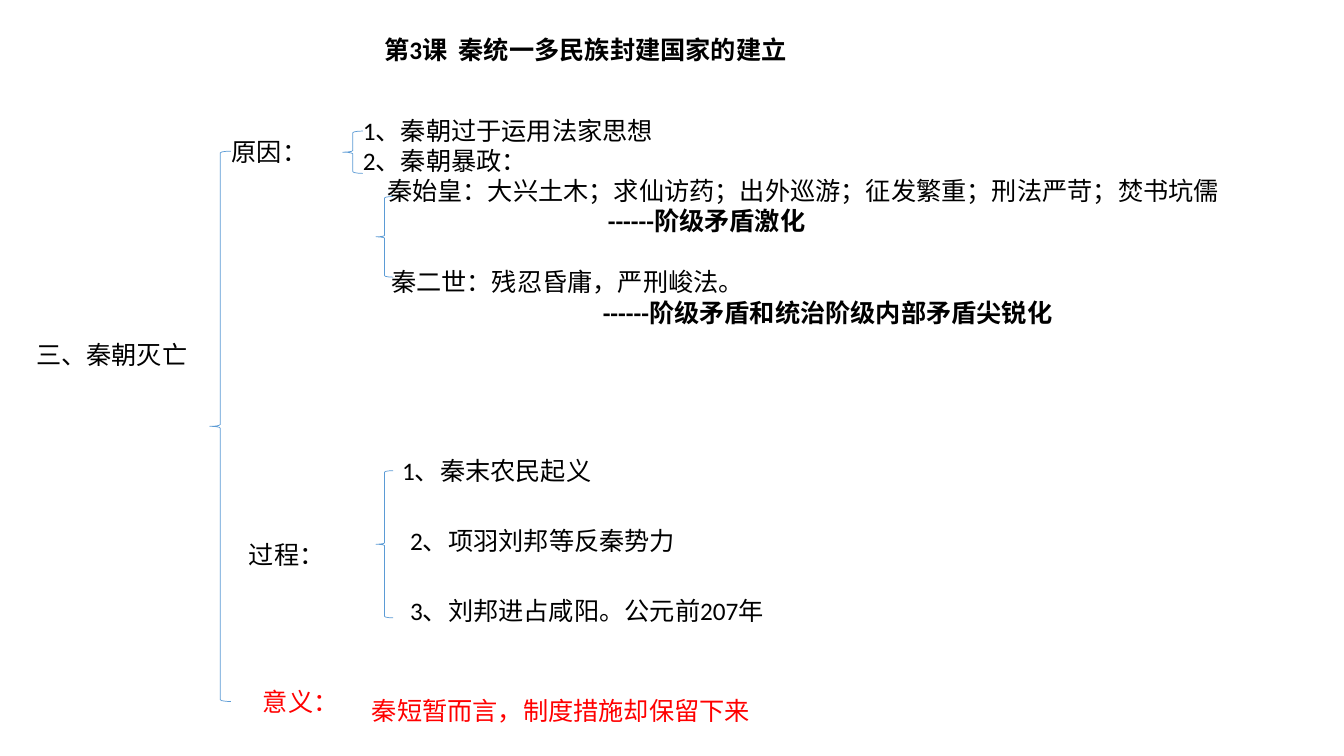
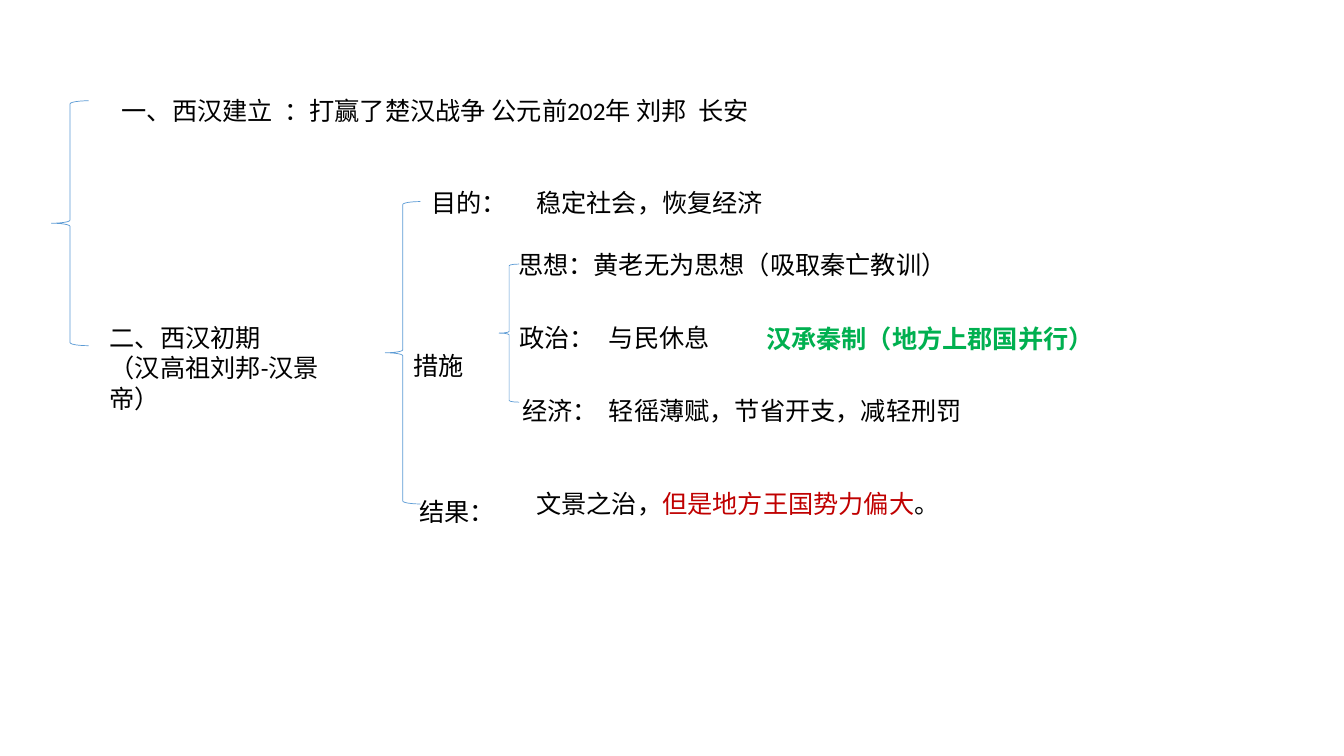
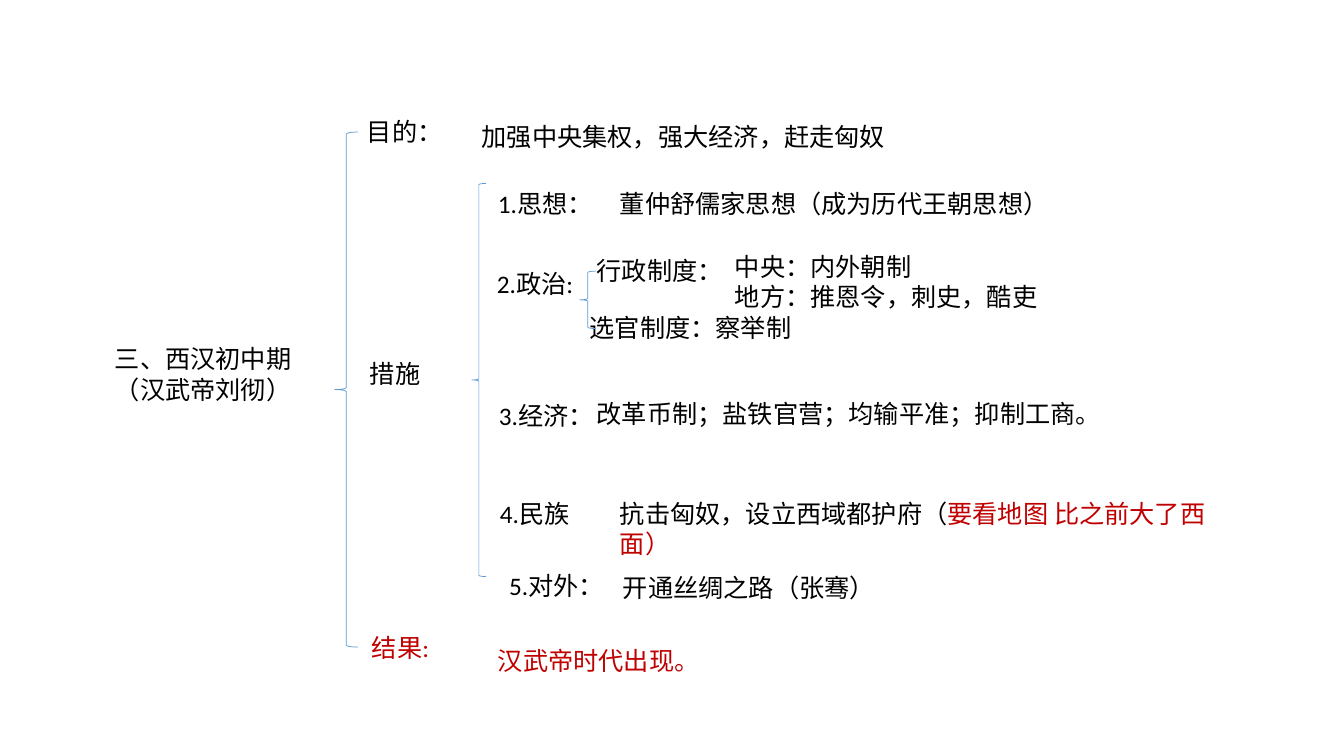
from pptx import Presentation
from pptx import util as u
from pptx.dml.color import RGBColor
from pptx.enum import lang, shapes, text

COLOURS = {"black": "000000", "red": "FF0000", "dark_red": "C00000",
           "green": "00B050", "brace": "5B9BD5"}
FONT, SIZE = "Calibri", u.Pt(18)
LINE = 0.4
TITLE_ONLY, BLANK = 5, 6

presentation = Presentation()
presentation.slide_width = u.Inches(13.33)
presentation.slide_height = u.Inches(7.5)
column = presentation.slide_width / 13.33
row = presentation.slide_height / 7.5


def place(shape, left, top, width, height):
    shape.left, shape.width = int(left * column), int(width * column)
    shape.top, shape.height = int(top * row), int(height * row)


def write(shape, content, colour="black", bold=False):
    frame = shape.text_frame
    frame.word_wrap = True
    frame.auto_size = text.MSO_AUTO_SIZE.SHAPE_TO_FIT_TEXT
    frame.vertical_anchor = text.MSO_ANCHOR.TOP
    pieces = [(content, colour)] if isinstance(content, str) else content
    frame.text = "".join(words for words, _ in pieces)
    for paragraph in frame.paragraphs:
        paragraph.alignment = text.PP_ALIGN.LEFT
        paragraph.line_spacing = 1.0
        font = paragraph.font
        font.name, font.size, font.bold = FONT, SIZE, bold
        font.language_id = lang.MSO_LANGUAGE_ID.SIMPLIFIED_CHINESE
        font.color.rgb = RGBColor.from_string(COLOURS[pieces[0][1]])
    if len(pieces) > 1:
        paragraph = frame.paragraphs[0]
        paragraph.clear()
        for words, piece_colour in pieces:
            run = paragraph.add_run()
            run.text = words
            run.font.color.rgb = RGBColor.from_string(COLOURS[piece_colour])


fall_of_qin = {
    "layout": TITLE_ONLY,
    "braces": [(3.4, 1.3, 0.2, 0.42), (2.08, 1.5, 0.21, 5.46),
               (3.73, 4.67, 0.17, 1.46), (3.73, 1.95, 0.17, 0.8)],
    "notes": [
        (0.26, 3.32, 1.82, "三、秦朝灭亡"),
        (2.2, 1.3, 1.2, "原因："),
        (2.37, 5.3, 0.86, "过程："),
        (3.89, 4.47, 3.78, "1、秦末农民起义"),
        (3.97, 5.16, 3.18, "2、项羽刘邦等反秦势力"),
        (3.97, 5.86, 3.74, "3、刘邦进占咸阳。公元前207年"),
        (2.51, 6.76, 0.72, "意义：", "red"),
        (3.59, 6.85, 5.04, "秦短暂而言，制度措施却保留下来", "red"),
    ],
}
early_western_han = {
    "layout": BLANK,
    "braces": [(4.95, 2.62, 0.2, 1.37), (3.82, 2, 0.35, 3), (0.51, 1, 0.37, 2.43)],
    "notes": [
        (0.99, 3.15, 2.68, "二、西汉初期\n（汉高祖刘邦-汉景帝）"),
        (5.04, 2.42, 5.77, "思想：黄老无为思想（吸取秦亡教训）"),
        (5.05, 3.15, 0.7, "政治："),
        (5.94, 3.15, 1.76, "与民休息"),
        (5.08, 3.87, 0.86, "经济："),
        (5.94, 3.87, 4.54, "轻徭薄赋，节省开支，减轻刑罚"),
        (4, 3.43, 0.79, "措施"),
        (7.5, 3.16, 4.22, "汉承秦制（地方上郡国并行）", "green", True),
        (4.06, 4.87, 0.73, "结果："),
        (5.22, 4.8, 4.69, [("文景之治，", "black"),
                           ("但是地方王国势力偏大", "dark_red"), ("。", "black")]),
        (4.18, 1.81, 0.76, "目的："),
        (5.22, 1.81, 2.5, "稳定社会，恢复经济"),
        (1.11, 0.9, 7.43, "一、西汉建立  ：打赢了楚汉战争 公元前202年 刘邦  长安"),
    ],
}
middle_western_han = {
    "layout": BLANK,
    "braces": [(4.68, 1.82, 0.14, 3.9), (3.32, 1.31, 0.23, 5.11),
               (5.75, 2.69, 0.16, 0.57)],
    "notes": [
        (1.04, 3.36, 2.02, "三、西汉初中期\n（汉武帝刘彻）"),
        (3.54, 1.11, 0.76, "目的："),
        (4.68, 1.15, 5.13, "加强中央集权，强大经济，赶走匈奴"),
        (3.57, 3.51, 0.79, "措施"),
        (4.84, 1.82, 1.16, "1.思想："),
        (6.05, 1.82, 5.45, "董仲舒儒家思想（成为历代王朝思想）"),
        (4.83, 2.61, 1.08, "2.政治:"),
        (7.19, 2.44, 3.45, "中央：内外朝制\n地方：推恩令，刺史，酷吏"),
        (5.82, 2.48, 1.6, "行政制度："),
        (5.75, 3.05, 2.53, "选官制度：察举制"),
        (4.85, 3.92, 1.34, "3.经济："),
        (5.82, 3.9, 6.27, "改革币制；盐铁官营；均输平准；抑制工商。"),
        (4.95, 5.61, 0.98, "5.对外："),
        (6.05, 4.89, 6.33, [("抗击匈奴，设立西域都护府（", "black"),
                            ("要看地图 比之前大了西面）", "dark_red")]),
        (4.86, 4.89, 0.96, "4.民族"),
        (6.08, 5.63, 3.29, "开通丝绸之路（张骞）"),
        (3.59, 6.22, 1.21, "结果:", "dark_red"),
        (4.84, 6.35, 2.18, "汉武帝时代出现。", "dark_red"),
    ],
}

for outline in (fall_of_qin, early_western_han, middle_western_han):
    slide = presentation.slides.add_slide(presentation.slide_layouts[outline["layout"]])
    for left, top, width, content, *style in outline["notes"]:
        note = slide.shapes.add_textbox(0, 0, 0, 0)
        write(note, content, *style)
        place(note, left, top, width, LINE * len(note.text_frame.paragraphs))
    for box in outline["braces"]:
        brace = slide.shapes.add_shape(shapes.MSO_SHAPE.LEFT_BRACE, 0, 0, 0, 0)
        place(brace, *box)
        brace.shadow.inherit = False
        brace.fill.background()
        brace.line.color.rgb = RGBColor.from_string(COLOURS["brace"])
        brace.line.width = u.Pt(0.5)

qin_slide = presentation.slides[0]
title = qin_slide.shapes.title
write(title, "第3课  秦统一多民族封建国家的建立", bold=True)
place(title, 3.71, 0.29, 4.26, LINE)

reasons = [
    (0.1, 0, False, "1、秦朝过于运用法家思想"),
    (0.1, 0, False, "2、秦朝暴政："),
    (0.34, 0, False, "秦始皇：大兴土木；求仙访药；出外巡游；征发繁重；刑法严苛；焚书坑儒"),
    (2.53, 0, True, "------阶级矛盾激化"),
    (0.38, 22, False, "秦二世：残忍昏庸，严刑峻法。"),
    (2.48, 0, True, "------阶级矛盾和统治阶级内部矛盾尖锐化"),
]
reason_box = qin_slide.shapes.add_textbox(0, 0, 0, 0)
write(reason_box, "\n".join(reason[-1] for reason in reasons))
place(reason_box, 3.4, 0.79, 9.48, 2.52)
reason_box.text_frame.margin_top = u.Inches(0.35)
for paragraph, (indent, gap, bold, _) in zip(reason_box.text_frame.paragraphs, reasons):
    paragraph.font.bold = bold
    paragraph.space_before = u.Pt(gap)
    paragraph._p.get_or_add_pPr().set("marL", str(int(indent * column)))

presentation.save("out.pptx")
